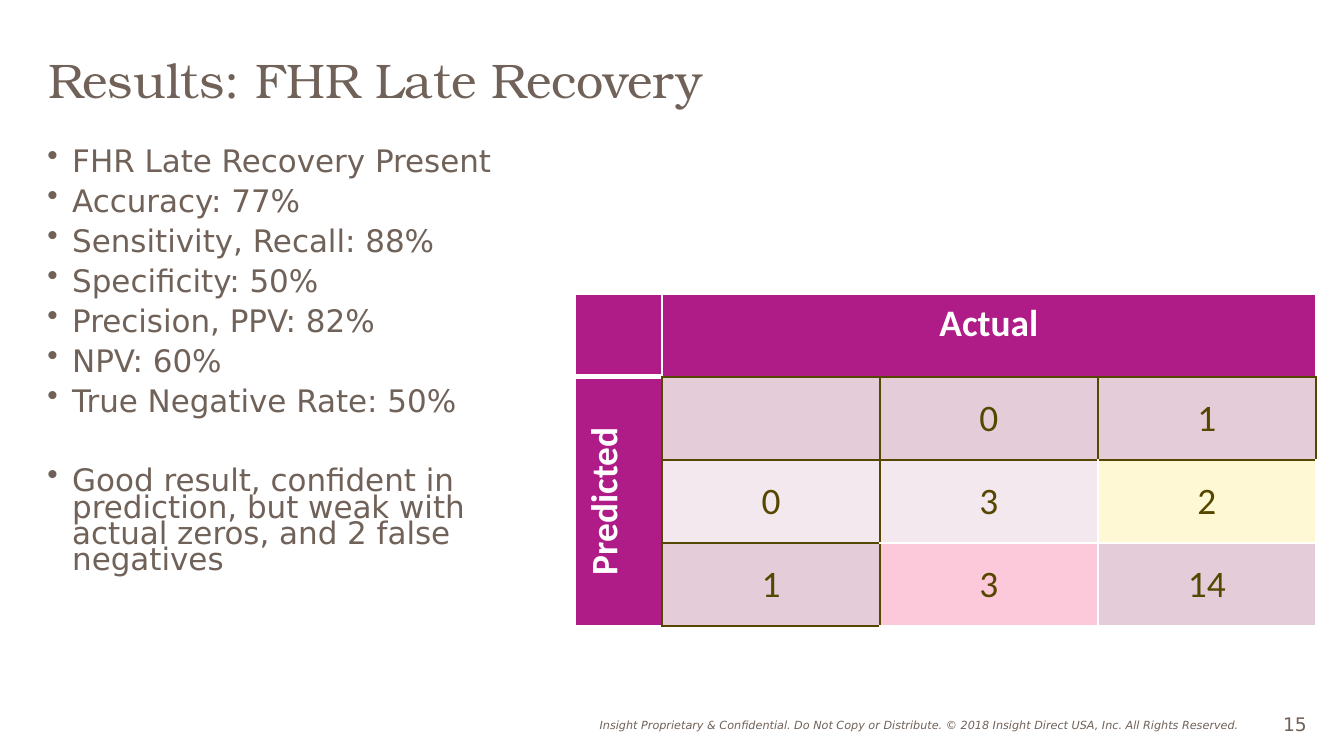
from dataclasses import dataclass

from lxml.etree import SubElement
from pptx import Presentation
from pptx.dml.color import RGBColor
from pptx.enum.text import MSO_ANCHOR as Anchor, PP_ALIGN as Align
from pptx.oxml.ns import qn
from pptx.util import Pt

EMU_PER_PX = 914400 / 134.4


def px(n):
    return round(n * EMU_PER_PX)


@dataclass(frozen=True)
class Theme:
    text: str = "706259"
    white: str = "FFFFFF"
    olive: str = "554700"
    magenta: str = "B01C87"
    mauve: str = "E4CDD9"
    pale: str = "F2E8ED"
    cream: str = "FFF8D5"
    pink: str = "FCC9DB"
    title_font: str = "TeX Gyre Bonum"
    body_font: str = "DejaVu Sans"
    table_font: str = "Calibri"
    title_size: float = 26
    body_size: float = 16.6
    table_size: float = 20
    number_size: float = 10
    footer_size: float = 6


class SlideBuilder:
    def __init__(self, prs, theme):
        self.theme = theme
        self.slide = prs.slides.add_slide(prs.slide_layouts[6])

    def style(self, p, size, font, color, bold=False, italic=False):
        for r in p.runs:
            r.font.size = Pt(size)
            r.font.name = font
            r.font.color.rgb = RGBColor.from_string(color)
            r.font.bold = bold
            r.font.italic = italic

    def text(self, box, text, size, font=None, align=Align.LEFT,
             anchor=Anchor.TOP, spacing=1.0, italic=False):
        tf = self.slide.shapes.add_textbox(*map(px, box)).text_frame
        tf.word_wrap = True
        tf.vertical_anchor = anchor
        p = tf.paragraphs[0]
        p.text = text
        p.alignment = align
        p.line_spacing = spacing
        self.style(p, size, font or self.theme.body_font, self.theme.text, italic=italic)

    def bullets(self, box, items, indent, spacing):
        """Items are (text, space before in points)."""
        t = self.theme
        tf = self.slide.shapes.add_textbox(*map(px, box)).text_frame
        tf.word_wrap = True
        for i, (text, before) in enumerate(items):
            p = tf.add_paragraph() if i else tf.paragraphs[0]
            p.text = text
            p.line_spacing = spacing
            p.space_before = Pt(before)
            pPr = p._p.get_or_add_pPr()
            pPr.set("marL", str(px(indent)))
            pPr.set("indent", str(-px(indent)))
            SubElement(pPr, qn("a:buChar"), char="•")
            for br in p._p.findall(qn("a:br")):
                SubElement(br, qn("a:rPr"), sz=str(round(t.body_size * 100)))
            self.style(p, t.body_size, t.body_font, t.text)

    def borders(self, cell, edges):
        """Edges are left, top, right, bottom: W white, T thick white, D dark."""
        pens = {"W": (self.theme.white, 1), "T": (self.theme.white, 3),
                "D": (self.theme.olive, 1)}
        by_side = dict(zip("LTRB", edges))
        tcPr = cell._tc.get_or_add_tcPr()
        for side in "LRTB":
            color, width = pens[by_side[side]]
            ln = SubElement(tcPr, qn(f"a:ln{side}"), w=str(Pt(width)))
            fill = SubElement(ln, qn("a:solidFill"))
            SubElement(fill, qn("a:srgbClr"), val=color)

    def cell(self, cell, text, fill, edges, header):
        t = self.theme
        self.borders(cell, edges)
        cell.fill.solid()
        cell.fill.fore_color.rgb = RGBColor.from_string(fill)
        cell.vertical_anchor = Anchor.TOP if header else Anchor.MIDDLE
        p = cell.text_frame.paragraphs[0]
        p.text = text
        p.alignment = Align.CENTER
        self.style(p, t.table_size, t.table_font, t.white if header else t.olive, bold=header)

    def confusion_matrix(self, left, top, widths, row_height, rows):
        """Rows hold (text, fill, edges); the first row and column are headers."""
        box = left, top, sum(widths), row_height * len(rows)
        table = self.slide.shapes.add_table(len(rows), len(widths), *map(px, box)).table
        table.first_row = table.horz_banding = False
        for column, width in zip(table.columns, widths):
            column.width = px(width)
        for i, row in enumerate(rows):
            table.rows[i].height = px(row_height)
            for j, (text, fill, edges) in enumerate(row):
                self.cell(table.cell(i, j), text, fill, edges, header=i == 0 or j == 0)
        table.cell(0, 1).merge(table.cell(0, len(widths) - 1))
        side = table.cell(1, 0)
        side.merge(table.cell(len(rows) - 1, 0))
        side._tc.get_or_add_tcPr().set("vert", "vert270")


def main():
    prs = Presentation()
    prs.slide_width, prs.slide_height = px(1344), px(756)
    t = Theme()
    s = SlideBuilder(prs, t)

    s.text((474, 712, 777, 27),
           "Insight Proprietary & Confidential. Do Not Copy or Distribute. "
           "© 2018 Insight Direct USA, Inc. All Rights Reserved.",
           t.footer_size, align=Align.RIGHT, italic=True)
    s.text((1270, 706, 94, 36), "15", t.number_size)
    s.text((35, 32, 1281, 101), "Results: FHR Late Recovery", t.title_size,
           font=t.title_font, anchor=Anchor.MIDDLE, spacing=0.9)

    metrics = ["Accuracy: 77%", "Sensitivity, Recall: 88%", "Specificity: 50%",
               "Precision, PPV: 82%", "NPV: 60%", "True Negative Rate: 50%"]
    conclusion = ("Good result, confident in \nprediction, but weak with \n"
                  "actual zeros, and 2 false \nnegatives")
    s.bullets((34, 145, 925, 480),
              [("FHR Late Recovery Present", 0), *((m, 7.5) for m in metrics),
               (conclusion, 28.5)],
              indent=25, spacing=0.7)

    actual = ("", t.magenta, "WWWD")
    side = ("", t.magenta, "WWDW")
    s.confusion_matrix(575, 294, [87, 218, 218, 218], 83, [
        [("", t.magenta, "WWWT"), ("Actual", *actual[1:]), actual, actual],
        [("Predicted", t.magenta, "WTDW"), ("", t.mauve, "DDDD"),
         ("0", t.mauve, "DDDD"), ("1", t.mauve, "DDDD")],
        [side, ("0", t.pale, "DDDD"), ("3", t.pale, "DDWW"), ("2", t.cream, "WDWW")],
        [side, ("1", t.mauve, "DDDD"), ("3", t.pink, "DWWW"), ("14", t.mauve, "WWWW")],
    ])
    prs.save("out.pptx")


if __name__ == "__main__":
    main()
